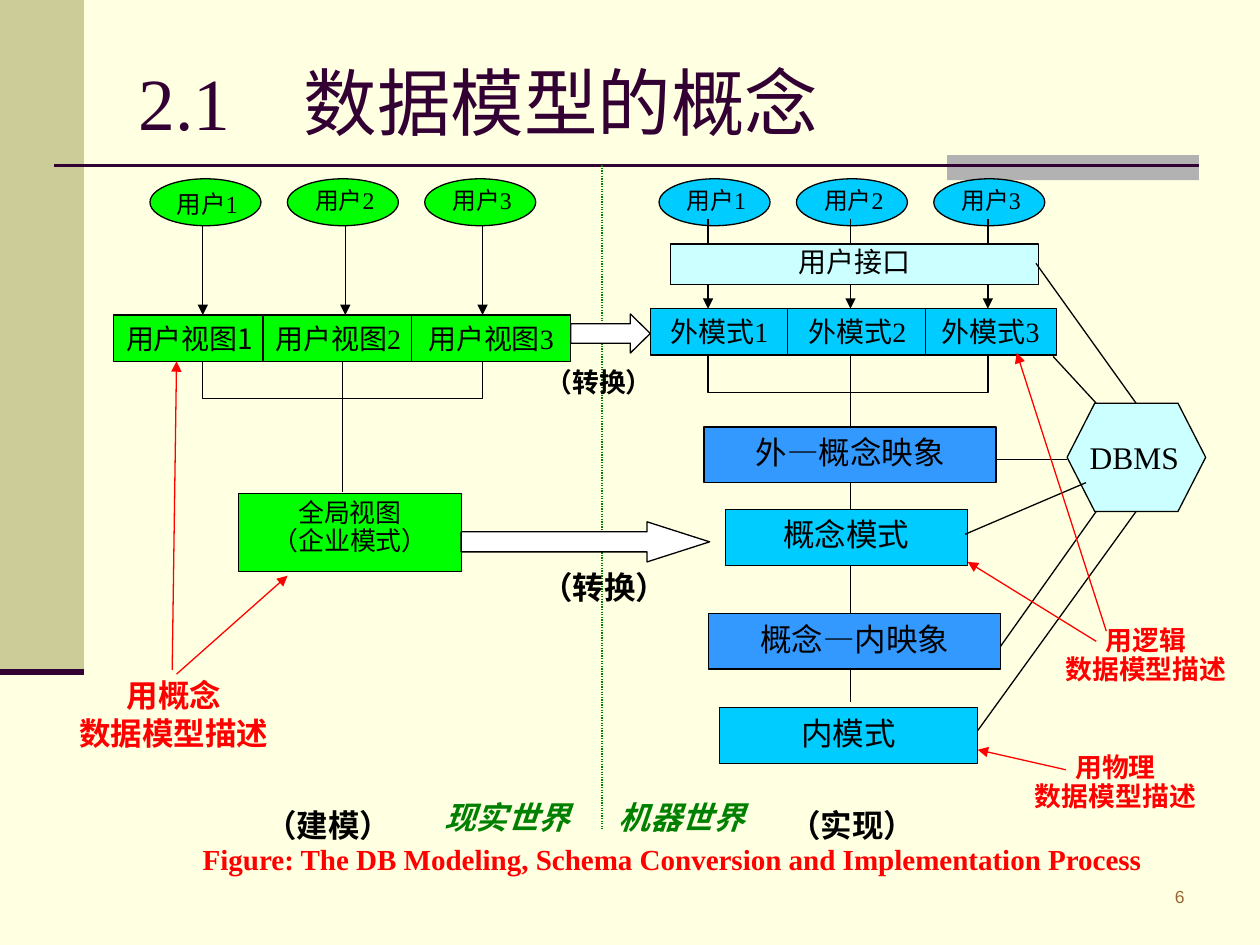
from lxml import etree
from pptx import Presentation
from pptx.dml.color import RGBColor
from pptx.enum import dml, shapes, text
from pptx.oxml.ns import qn
from pptx.util import Pt

SERIF, SANS, ARIAL = "Times New Roman", "Noto Sans CJK SC", "Arial"
BLACK, RED, PLUM, GREEN = "000000", "FF0000", "330033", "008000"
LIME, CYAN, BLUE, PALE = "00FF00", "00CCFF", "3399FF", "CCFFFF"
LEFT, CENTER, RIGHT = text.PP_ALIGN.LEFT, text.PP_ALIGN.CENTER, text.PP_ALIGN.RIGHT
RECT = shapes.MSO_SHAPE.RECTANGLE

# The two worlds: user ovals, and the arrows that leave them
USERS = ["用户1", "用户2", "用户3"]
USER_PITCH = 78.5
WORLDS = [
    dict(fill=LIME, oval_x=85.7, arrows=[115.9, 197.3, 275.8], arrow_y=(128.9, 180),
         bracket_y=(206.5, 227.7)),
    dict(fill=CYAN, oval_x=376.6, arrows=[404.6, 486, 564.5], arrow_y=(125.3, 176.4),
         bracket_y=(203, 224.3)),
]

# (x1, y1, x2, y2)
STEMS = [(195.7, 206.5, 195.7, 281.2), (486, 203, 486, 291), (486, 323, 486, 401)]
DBMS_LINKS = [
    (592, 150.5, 649.2, 230.4), (571.7, 369.4, 626.4, 292.3), (609.8, 262.6, 569.5, 262.6),
    (558.7, 417.5, 649.2, 292.3), (551.5, 305.3, 620.6, 275.8), (601.8, 203.7, 626.4, 230.4),
]
RED_ARROWS = [
    (98.4, 382.8, 100.9, 206.5), (100.9, 385.2, 164.3, 329), (609.1, 439.9, 558.7, 428.4),
    (626.4, 366.5, 553, 321.1), (632.2, 360.7, 581, 201.6),
]

# (lines, frame, fill, size, font, alignment, line spacing, vertical inset)
BOXES = [
    (["用户视图1"], (65, 180, 91.5, 26.5), LIME, 16, SANS, LEFT, 1, 3.6),
    (["用户视图2"], (150.3, 180, 90.7, 26.5), LIME, 16, SERIF, LEFT, 1, 3.6),
    (["用户视图3"], (235.3, 180, 90.7, 26.5), LIME, 16, SERIF, CENTER, 1, 3.6),
    (["全局视图", "（企业模式）"], (136.2, 282.2, 127.6, 44.3), LIME, 14.8, SANS, CENTER, 0.9, 3.6),
    (["用户接口"], (383, 139.5, 210.3, 23.1), PALE, 16, SERIF, CENTER, 1, 0),
    (["外模式1"], (371.6, 176.4, 79, 26.6), CYAN, 16, SERIF, CENTER, 1, 3.6),
    (["外模式2"], (450.2, 176.4, 79.6, 26.6), CYAN, 16, SERIF, CENTER, 1, 3.6),
    (["外模式3"], (528.7, 176.4, 74.9, 26.6), CYAN, 16, SERIF, CENTER, 1, 3.6),
    (["外―概念映象"], (402.2, 244, 167, 31.8), BLUE, 18, SERIF, CENTER, 1, 3.6),
    (["概念模式"], (414.6, 291, 138.2, 32), CYAN, 18, SANS, CENTER, 1, 3.6),
    (["概念―内映象"], (404.9, 350.5, 167, 31.8), BLUE, 18, SERIF, CENTER, 1, 3.6),
    (["内模式"], (411, 404.2, 147.5, 32), CYAN, 18, SANS, CENTER, 1, 3.6),
]

# (frame, head length as a share of the arrow's height)
BLOCK_ARROWS = [((326.2, 179.4, 45.4, 22.3), 0.51), ((263.5, 298.2, 142, 22.9), 1.56)]

# (lines, frame, size, colour, alignment, line spacing, italic)
LABELS = [
    (["机器世界"], (346.6, 452.3, 108.7, 37.4), 18, GREEN, LEFT, 1, True),
    (["现实世界"], (246.9, 452.3, 108.7, 37.4), 18, GREEN, LEFT, 1, True),
    (["（建模）"], (133.2, 457.2, 108.7, 45.4), 18, BLACK, CENTER, 1, False),
    (["（实现）"], (432.7, 457.2, 108.7, 45.4), 18, BLACK, CENTER, 1, False),
    (["（转换）"], (290.9, 321.1, 108.7, 31.7), 18, BLACK, CENTER, 1, False),
    (["（转换）"], (288, 207.4, 108.7, 27.4), 15.3, BLACK, CENTER, 0.9, False),
    (["用概念", "数据模型描述"], (31, 383, 136.8, 65.5), 18, RED, CENTER, 1, False),
    (["用物理", "数据模型描述"], (569.5, 427.7, 136, 48.2), 15.3, RED, CENTER, 0.9, False),
    (["用逻辑", "数据模型描述"], (589.7, 355, 130.3, 48.2), 15.3, RED, CENTER, 0.9, False),
    (["Figure: The DB Modeling, Schema Conversion and Implementation Process"],
     (64.8, 479.5, 638, 28), 16.6, RED, CENTER, 0.9, False),
]

deck = Presentation()
deck.slide_width, deck.slide_height = Pt(720), Pt(540)
page = deck.slides.add_slide(deck.slide_layouts[6])


def paint(fill, color):
    fill.solid()
    fill.fore_color.rgb = RGBColor.from_string(color)


def write(shape, lines, size, color=BLACK, font=SERIF, align=CENTER, spacing=1,
          bold=False, italic=False, inset=3.6, anchor=text.MSO_ANCHOR.TOP):
    frame = shape.text_frame
    frame.text = "\n".join(lines)
    frame.word_wrap = True
    frame.vertical_anchor = anchor
    frame.margin_top = frame.margin_bottom = Pt(inset)
    for para in frame.paragraphs:
        para.alignment = align
        para.line_spacing = spacing
        for span in para.runs:
            span.font.size, span.font.name = Pt(size), font
            span.font.bold, span.font.italic = bold, italic
            span.font.color.rgb = RGBColor.from_string(color)
            east = etree.SubElement(span.font._element, qn("a:ea"))
            east.set("typeface", SANS)


def add_label(lines, frame, size, **style):
    write(page.shapes.add_textbox(*map(Pt, frame)), lines, size, **style)


def add_block(kind, frame, fill, outlined=True):
    shape = page.shapes.add_shape(kind, *map(Pt, frame))
    shape.shadow.inherit = False
    paint(shape.fill, fill)
    if outlined:
        paint(shape.line.fill, BLACK)
        shape.line.width = Pt(0.75)
    else:
        shape.line.fill.background()
    return shape


def add_line(ends, color=BLACK, width=0.75, arrow=False):
    line = page.shapes.add_connector(shapes.MSO_CONNECTOR.STRAIGHT, *map(Pt, ends))
    paint(line.line.fill, color)
    line.line.width = Pt(width)
    if arrow:
        etree.SubElement(line.line._get_or_add_ln(), qn("a:tailEnd")).set("type", "triangle")
    etree.SubElement(line._element.spPr, qn("a:effectLst"))
    return line


def add_bracket(left, right, top, bottom):
    builder = page.shapes.build_freeform(Pt(left), Pt(top))
    corners = [(left, bottom), (right, bottom), (right, top)]
    builder.add_line_segments([(Pt(x), Pt(y)) for x, y in corners], close=False)
    shape = builder.convert_to_shape()
    shape.shadow.inherit = False
    shape.fill.background()
    paint(shape.line.fill, BLACK)
    shape.line.width = Pt(0.75)


# Page frame and title
paint(page.background.fill, "FFFFE1")
add_block(RECT, (0, 0, 48, 384), "CCCC99", outlined=False)
add_block(RECT, (541.2, 88.6, 144, 14.4), "B2B2B2", outlined=False)
add_line((31, 94.5, 685.2, 94.5), PLUM, 1.5)
add_line((0, 384, 48, 384), PLUM, 3.5)
add_label(["6"], (592.6, 502.6, 91.4, 25.2), 10, color="996633", font=ARIAL, align=RIGHT)
add_label(["2.1　数据模型的概念"], (72, 21.6, 612, 72.7), 42, color=PLUM, align=LEFT,
          anchor=text.MSO_ANCHOR.MIDDLE)

# Users, arrows and brackets of each world
for world in WORLDS:
    for i, user in enumerate(USERS):
        x = world["oval_x"] + i * USER_PITCH
        add_block(shapes.MSO_SHAPE.OVAL, (x, 102.2, 63.4, 26.8), world["fill"])
        first_green = world["fill"] == LIME and i == 0
        add_label([user], (x, 104.4, 65.5, 24.5), 14 if first_green else 13.6,
                  spacing=1 if first_green else 0.9)
    start, end = world["arrow_y"]
    for x in world["arrows"]:
        add_line((x, start, x, end), arrow=True)
    add_bracket(world["arrows"][0], world["arrows"][-1], *world["bracket_y"])

for ends in STEMS:
    add_line(ends)
add_line((344, 94.5, 344, 473.8), GREEN).line.dash_style = dml.MSO_LINE.ROUND_DOT

for lines, frame, fill, size, font, align, spacing, inset in BOXES:
    write(add_block(RECT, frame, fill), lines, size, font=font, align=align,
          spacing=spacing, inset=inset)

add_block(shapes.MSO_SHAPE.FLOWCHART_PREPARATION, (609.8, 230.4, 79.2, 61.9), PALE)
add_label(["DBMS"], (615.6, 247, 70.6, 47.5), 18, align=LEFT)
for ends in DBMS_LINKS:
    add_line(ends)

for frame, head in BLOCK_ARROWS:
    add_block(shapes.MSO_SHAPE.RIGHT_ARROW, frame, "FFFFFF").adjustments[1] = head

for lines, frame, size, color, align, spacing, italic in LABELS:
    add_label(lines, frame, size, color=color, align=align, spacing=spacing,
              bold=True, italic=italic)
for ends in RED_ARROWS:
    add_line(ends, RED, arrow=True)

deck.save("out.pptx")
